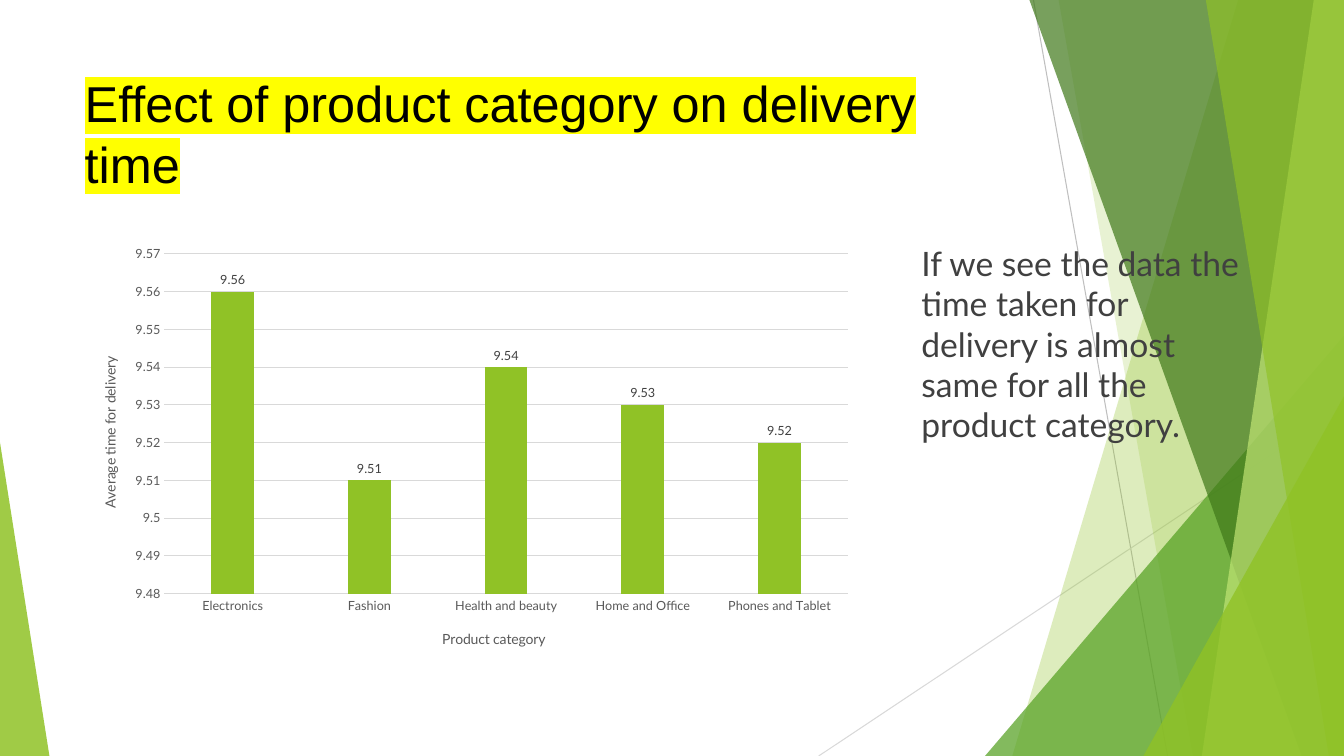
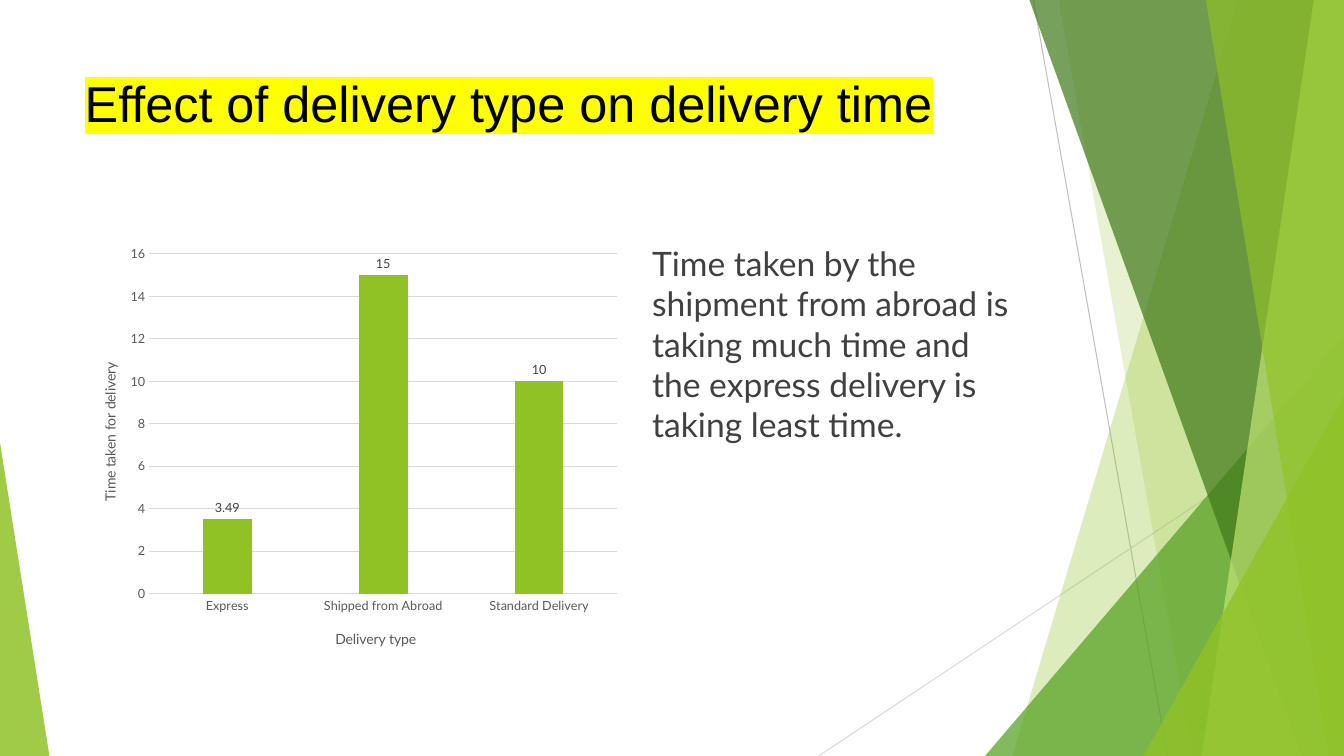
from lxml.etree import SubElement, Element
from pptx import Presentation
from pptx.chart.data import CategoryChartData
from pptx.dml.color import RGBColor
from pptx.enum.chart import XL_CHART_TYPE, XL_LABEL_POSITION, XL_TICK_MARK
from pptx.enum.shapes import MSO_CONNECTOR, MSO_SHAPE
from pptx.enum.text import MSO_ANCHOR, MSO_AUTO_SIZE, PP_ALIGN
from pptx.oxml.ns import qn
from pptx.util import Inches, Pt

# Content: boxes are left, top, width, height in inches
SLIDES = [
    {
        "title": "Effect of product category on delivery time",
        "note": "If we see the data the time taken for delivery is almost "
                "same for all the product category.",
        "note_box": (9.04, 2.36, 3.35, 4.24),
        "chart_box": (0.74, 2.36, 7.83, 4.24),
        "plot_box": (1.63, 2.52, 6.78, 3.37),
        "bars": [("Electronics", 9.56), ("Fashion", 9.51),
                 ("Health and beauty", 9.54), ("Home and Office", 9.53),
                 ("Phones and Tablet", 9.52)],
        "scale": {"minimum_scale": 9.48, "maximum_scale": 9.57,
                  "major_unit": 0.01},
        "cat": ("Product category", (4.36, 6.22)),
        "val": ("Average time for delivery", (0.97, 3.51)),
    },
    {
        "title": "Effect of delivery type on delivery time",
        "note": "Time taken by the shipment from abroad is taking much time "
                "and the express delivery is taking least time.",
        "note_box": (6.37, 2.36, 3.77, 4.24),
        "chart_box": (0.74, 2.36, 5.49, 4.24),
        "plot_box": (1.48, 2.52, 4.64, 3.37),
        "bars": [("Express", 3.49), ("Shipped from Abroad", 15),
                 ("Standard Delivery", 10)],
        "scale": {"minimum_scale": 0, "maximum_scale": 16, "major_unit": 2},
        "cat": ("Delivery type", (3.3, 6.22)),
        "val": ("Time taken for delivery", (0.97, 3.57)),
    },
]

# Shared look
WIDE, HIGH = 13.33, 7.5
HEX = {"lime": "90C226", "green": "54A021", "dark": "3F7819",
       "pale": "C0E474", "grey": "BFBFBF", "rule": "D9D9D9",
       "axis": "595959", "text": "404040", "black": "000000",
       "mark": "FFFF00"}
TITLE_BOX = (0.74, 0.67, 9.4, 1.44)
FONTS = {
    "title": ({"name": "Arial", "size": Pt(36)}, "black"),
    "note": ({"name": "Lato", "size": Pt(24)}, "text"),
    "chart": ({"name": "Lato", "size": Pt(10)}, "black"),
    "name": ({"name": "Lato", "size": Pt(10), "bold": False}, "axis"),
    "tick": ({"name": "Lato", "size": Pt(9)}, "axis"),
    "label": ({"name": "Lato", "size": Pt(9)}, "text"),
}
FRAME = {"word_wrap": True, "auto_size": MSO_AUTO_SIZE.NONE,
         "vertical_anchor": MSO_ANCHOR.TOP}

# Backdrop, back to front: lines, then bands and triangles
LINES = [((10.25, 0), (11.58, HIGH), "grey"),
         ((WIDE, 4.03), (8.12, HIGH), "rule")]
# A band runs from its slanted left edge (top x, bottom x) to the right side;
# a triangle has left, top, width and its apex side.
FACETS = [
    ("band", (12.28, 10.04), "lime", 30),
    ("band", (10.5, 11.83), "lime", 20),
    ("tri", (9.77, 3.33, 3.56, 1), "green", 72),
    ("band", (10.21, 12.91), "dark", 70),
    ("band", (13.03, 11.92), "pale", 70),
    ("band", (11.96, 13.18), "lime", 65),
    ("tri", (11.34, 3.93, 1.99, 1), "lime", 80),
    ("tri", (0, 4.39, 0.49, 0), "lime", 85),
]


def rgb(key):
    return RGBColor.from_string(HEX[key])


def units(nums):
    return [Inches(num) for num in nums]


def apply(item, values):
    for name, value in values.items():
        setattr(item, name, value)


def ink(font, role):
    values, key = FONTS[role]
    apply(font, values)
    font.color.rgb = rgb(key)


def rule(line, key):
    line.color.rgb = rgb(key)
    line.width = Pt(0.75)


def write(shape, text, role):
    frame = shape.text_frame
    apply(frame, FRAME)
    para = frame.paragraphs[0]
    para.alignment = PP_ALIGN.LEFT
    run = para.add_run()
    run.text = text
    ink(run.font, role)
    return para


def facet(shapes, kind, nums, key, alpha):
    if kind == "band":
        top, base = nums
        pen = shapes.build_freeform(Inches(top), 0)
        pen.add_line_segments([units(spot) for spot in
                               [(WIDE, 0), (WIDE, HIGH), (base, HIGH)]])
        shape = pen.convert_to_shape()
    else:
        left, top, width, apex = nums
        shape = shapes.add_shape(MSO_SHAPE.ISOSCELES_TRIANGLE,
                                 *units((left, top, width, HIGH - top)))
        shape.adjustments[0] = apex
    shape.shadow.inherit = False
    shape.fill.solid()
    shape.fill.fore_color.rgb = rgb(key)
    shape.line.fill.background()
    tint = next(shape.element.spPr.iter(qn("a:srgbClr")))
    SubElement(tint, qn("a:alpha")).set("val", str(alpha * 1000))


def backdrop(slide, layout):
    """Draw the backdrop as a group, then hand it to the layout."""
    group = slide.shapes.add_group_shape()
    for start, end, key in LINES:
        line = group.shapes.add_connector(MSO_CONNECTOR.STRAIGHT,
                                          *units(start + end))
        rule(line.line, key)
        SubElement(line.element.spPr, qn("a:effectLst"))
    for item in FACETS:
        facet(group.shapes, *item)
    for num, node in enumerate(group.element.iter(qn("p:cNvPr")), 100):
        node.set("id", str(num))
    layout.shapes.element.insert(2, group.element)


def place(node, box, outer):
    """Fix a chart part at a box given in slide inches."""
    hold = node.find(qn("c:layout"))
    if hold is None:
        hold = Element(qn("c:layout"))
        node.insert(0, hold)
    spot = SubElement(hold, qn("c:manualLayout"))
    left, top, width, height = outer
    parts = [("x", (box[0] - left) / width), ("y", (box[1] - top) / height)]
    modes = [("xMode", "edge"), ("yMode", "edge")]
    if len(box) == 4:
        modes.insert(0, ("layoutTarget", "inner"))
        parts += [("w", box[2] / width), ("h", box[3] / height)]
    for tag, value in modes + parts:
        SubElement(spot, qn("c:" + tag)).set("val", str(value))


def add_bars(slide, item):
    data = CategoryChartData()
    names, values = zip(*item["bars"])
    data.categories = names
    data.add_series("Series 1", values)
    outer = item["chart_box"]
    chart = slide.shapes.add_chart(XL_CHART_TYPE.COLUMN_CLUSTERED,
                                   *units(outer), data).chart
    apply(chart, {"has_title": False, "has_legend": False})
    ink(chart.font, "chart")

    # Columns and labels
    plot = chart.plots[0]
    apply(plot, {"gap_width": 219, "overlap": -27,
                 "vary_by_categories": False, "has_data_labels": True})
    fill = plot.series[0].format.fill
    fill.solid()
    fill.fore_color.rgb = rgb("lime")
    apply(plot.data_labels, {"show_value": True,
                             "position": XL_LABEL_POSITION.OUTSIDE_END})
    ink(plot.data_labels.font, "label")

    # Axes
    cat, val = chart.category_axis, chart.value_axis
    for axis, key, turn in [(cat, "cat", "0"), (val, "val", "-5400000")]:
        apply(axis, {"major_tick_mark": XL_TICK_MARK.NONE,
                     "minor_tick_mark": XL_TICK_MARK.NONE,
                     "has_title": True})
        ink(axis.tick_labels.font, "tick")
        text, spot = item[key]
        head = axis.axis_title
        run = head.text_frame.paragraphs[0].add_run()
        run.text = text
        ink(run.font, "name")
        body = next(head.element.iter(qn("a:bodyPr")))
        body.set("rot", turn)
        body.set("vert", "horz")
        place(head.element, spot, outer)
    apply(val, item["scale"])
    val.has_major_gridlines = True
    rule(val.major_gridlines.format.line, "rule")
    rule(cat.format.line, "rule")
    val.format.line.fill.background()
    area = next(chart.element.iter(qn("c:plotArea")))
    place(area, item["plot_box"], outer)


def add_title(slide, text):
    title = slide.shapes.title
    apply(title, dict(zip(("left", "top", "width", "height"),
                          units(TITLE_BOX))))
    write(title, text, "title")
    fill = next(title.element.iter(qn("a:rPr"))).find(qn("a:solidFill"))
    mark = Element(qn("a:highlight"))
    SubElement(mark, qn("a:srgbClr")).set("val", HEX["mark"])
    fill.addnext(mark)


def main():
    deck = Presentation()
    apply(deck, {"slide_width": Inches(WIDE), "slide_height": Inches(HIGH)})
    layout = deck.slide_layouts[5]
    for num, item in enumerate(SLIDES):
        slide = deck.slides.add_slide(layout)
        if num == 0:
            backdrop(slide, layout)
        add_title(slide, item["title"])
        add_bars(slide, item)
        note = slide.shapes.add_textbox(*units(item["note_box"]))
        write(note, item["note"], "note").space_before = Pt(10)
    deck.save("out.pptx")


if __name__ == "__main__":
    main()
